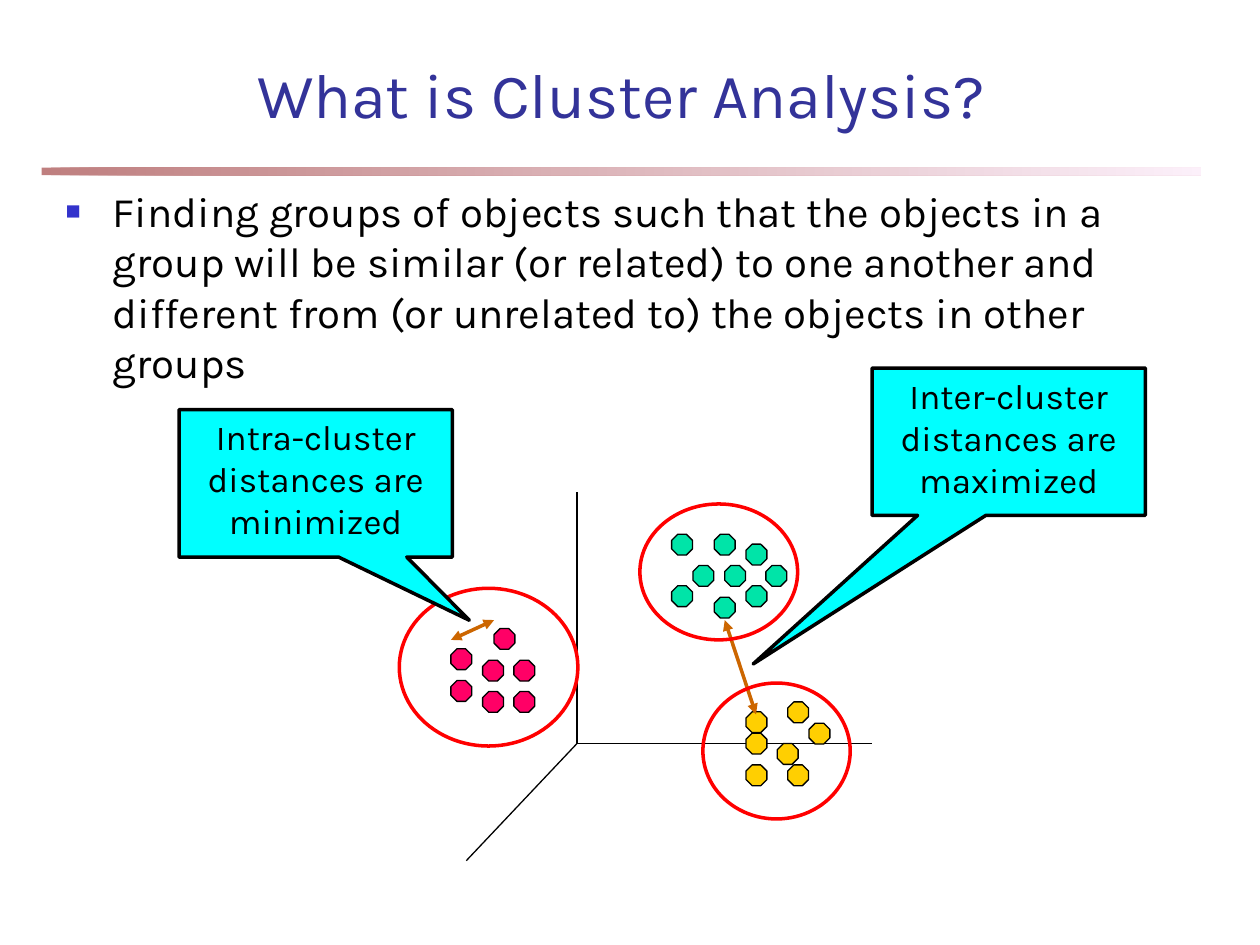
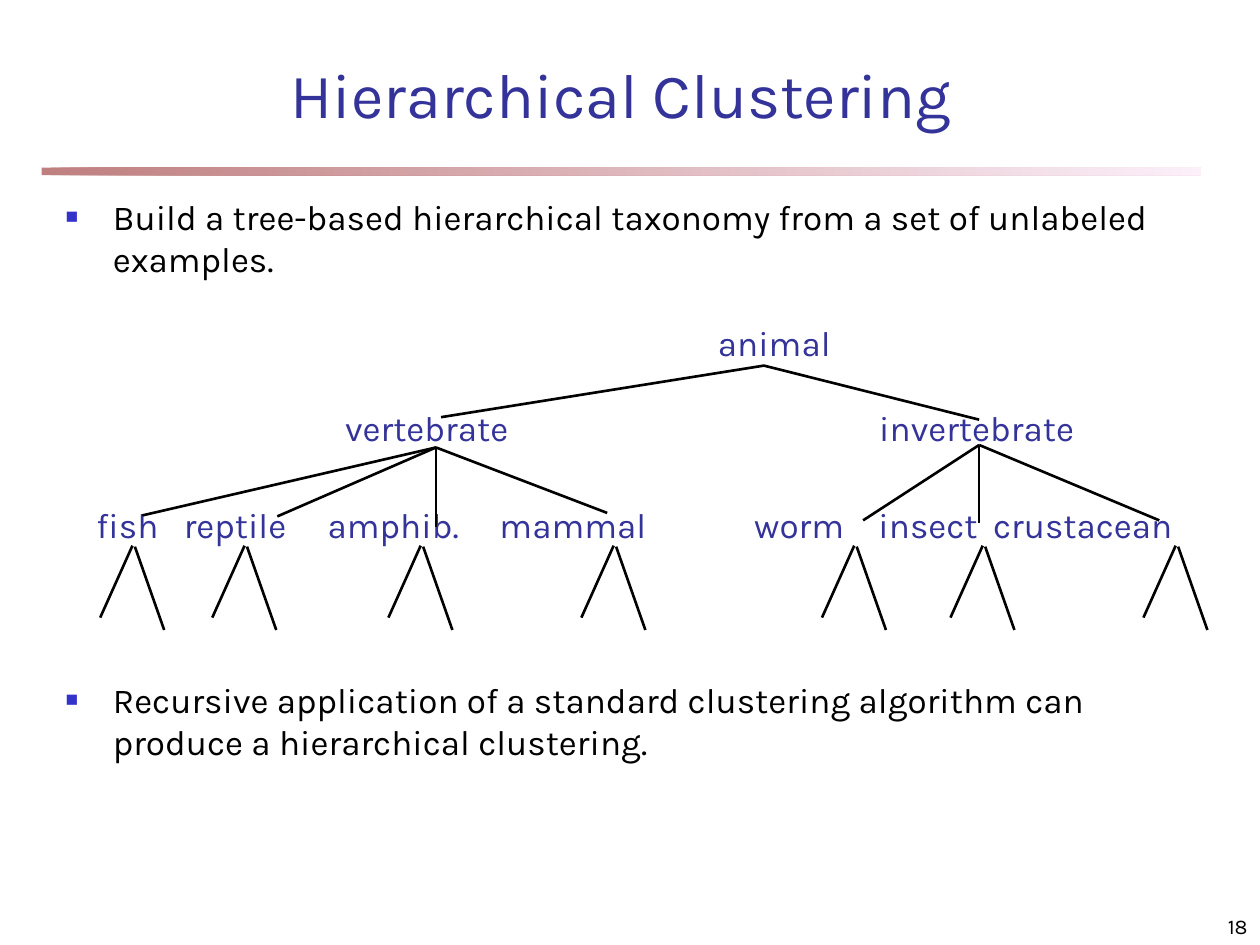
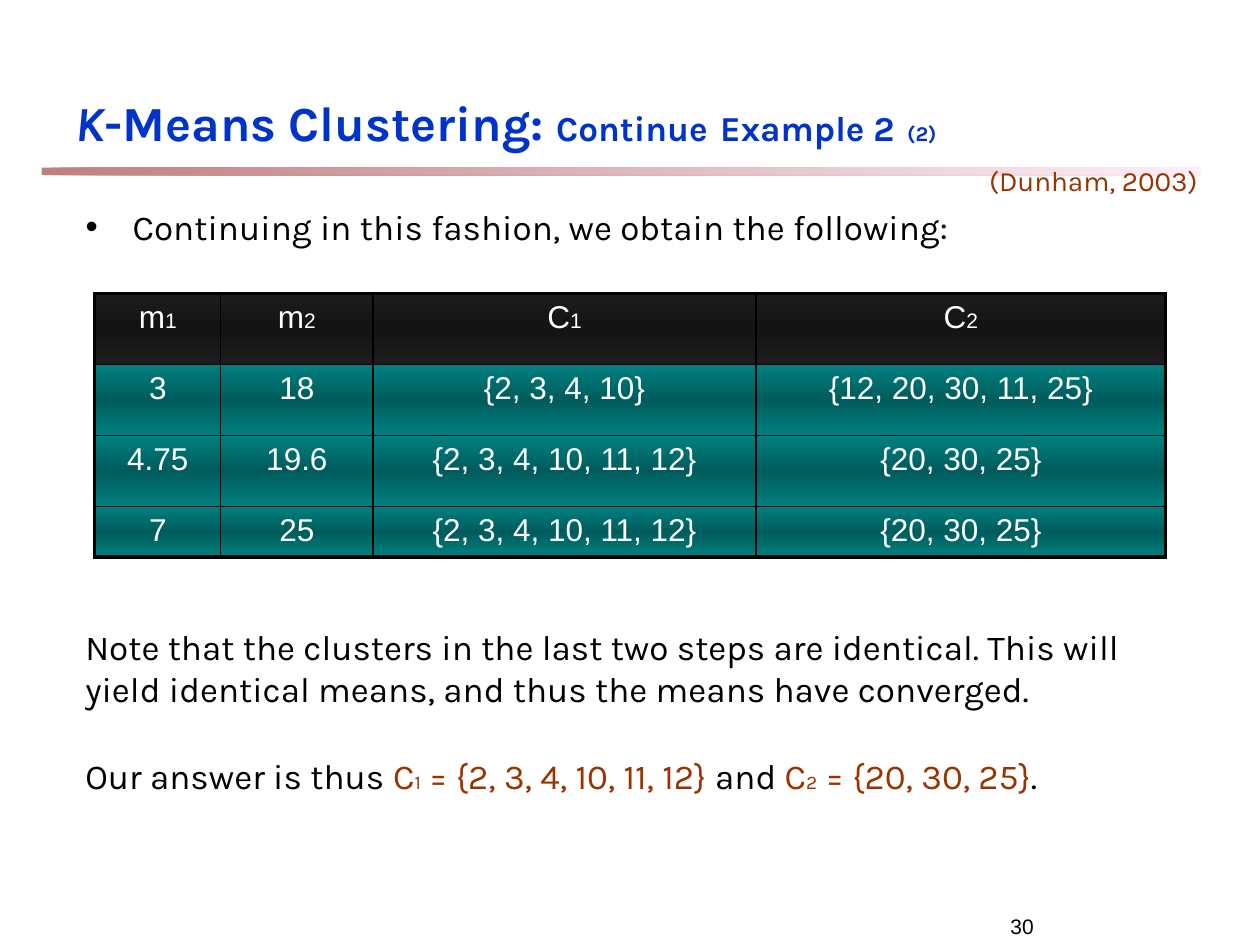
from dataclasses import dataclass
from typing import Any, NamedTuple, Optional

import pptx
import pptx.dml.color
import pptx.enum.dml
import pptx.enum.shapes
import pptx.enum.text
import pptx.oxml.ns
import pptx.util
from lxml import etree

Cm = pptx.util.Cm
Pt = pptx.util.Pt
qn = pptx.oxml.ns.qn
Align = pptx.enum.text.PP_ALIGN
Anchor = pptx.enum.text.MSO_ANCHOR
Kind = pptx.enum.shapes.MSO_SHAPE

HUES = {
    "title": "333399", "blue": "0033CC", "mark": "3333CC", "text": "000000",
    "rust": "993300", "arrow": "CC6600", "ring": "FF0000", "call": "00FFFF",
    "green": "00E4A8", "pink": "FF0066", "gold": "FFCF01", "white": "FFFFFF",
    "wine": "800000", "blush": "FAE2F6", "coal": "1C1C1C", "black": "141414",
    "teal": "008080", "deep": "005C5C",
}
FACE = "Karla"
DOT = 0.42


class Box(NamedTuple):
    """Left, top, width and height in centimetres."""
    x: float
    y: float
    w: float
    h: float

    def place(self) -> tuple:
        return tuple(Cm(v) for v in self)


class Bit(NamedTuple):
    """A run with what sets it apart from its paragraph."""
    text: str
    size: Optional[float] = None
    hue: Optional[str] = None
    slant: Optional[bool] = None


@dataclass
class Group:
    hue: str
    ring: Box
    dots: list


@dataclass
class Call:
    text: str
    box: Box
    tip: tuple
    start: tuple
    end: tuple


@dataclass
class Leaf:
    text: str
    mid: float
    wide: float
    fork: float


GROUPS = [
    Group("green", Box(12.9, 10.16, 3.18, 2.74), [
        (13.97, 11.4), (14.61, 11.4), (14.4, 10.77), (14.4, 12.04), (15.44, 11.4),
        (15.04, 10.97), (13.54, 10.77), (15.04, 11.81), (13.54, 11.81)]),
    Group("pink", Box(8.05, 11.86, 3.6, 3.18), [
        (9.09, 13.08), (9.73, 13.31), (9.73, 13.94), (10.36, 13.31),
        (9.96, 12.67), (10.36, 13.94), (9.09, 13.72)]),
    Group("gold", Box(14.17, 13.77, 2.97, 2.74), [
        (15.04, 14.35), (16.31, 14.58), (15.67, 14.99), (15.04, 15.42),
        (15.88, 15.42), (15.04, 14.78), (15.88, 14.15)]),
]
INTER = Call("Inter-cluster distances are maximized", Box(17.58, 7.42, 5.51, 2.97),
             (-0.935, 1.509), (15.24, 14.4), (14.61, 12.5))
INTRA = Call("Intra-cluster distances are minimized", Box(3.61, 8.26, 5.51, 2.97),
             (0.562, 0.929), (9.09, 12.9), (9.96, 12.5))
AXES = [(11.63, 9.91), (17.58, 14.99), (9.4, 17.35)]

NODES = {
    "animal": Box(12.7, 6.35, 5.82, 1.12),
    "vertebrate": Box(6.55, 8.07, 4.11, 1.12),
    "invertebrate": Box(17.34, 8.07, 4.7, 1.12),
}
LEAVES = [
    Leaf("fish", 2.57, 2, 2.67), Leaf("reptile", 4.74, 2.9, 4.93),
    Leaf("amphib.", 7.93, 3.5, 8.48), Leaf("mammal", 11.55, 3.8, 12.37),
    Leaf("worm", 16.11, 2.7, 17.22), Leaf("insect", 18.71, 2.8, 19.81),
    Leaf("crustacean", 21.83, 4.5, 23.7),
]
BRANCHES = {
    (15.4, 7.37): [(8.89, 8.41), (19.74, 8.46)],
    (8.79, 9.02): [(2.87, 10.39), (5.59, 10.41), (8.79, 10.62), (12.24, 10.34)],
    (19.74, 8.97): [(17.4, 10.49), (19.74, 10.54), (23.37, 10.49)],
}

COLS = [2.54, 3.07, 7.72, 8.26]
ROWS = [1.43, 1.43, 1.43, 0.99]
HEADS = [("m", "1"), ("m", "2"), ("C", "1"), ("C", "2")]
STEPS = [
    ("3", "18", "{2, 3, 4, 10}", "{12, 20, 30, 11, 25}"),
    ("4.75", "19.6", "{2, 3, 4, 10, 11, 12}", "{20, 30, 25}"),
    ("7", "25", "{2, 3, 4, 10, 11, 12}", "{20, 30, 25}"),
]


def rgb(hue: str) -> pptx.dml.color.RGBColor:
    return pptx.dml.color.RGBColor.from_string(HUES[hue])


def write(para: Any, bits: list, size: float, hue: str = "text",
          align: Any = Align.LEFT, face: str = FACE, bold: bool = False) -> None:
    """Fill a paragraph: its font holds for all runs but what a Bit changes."""
    para.alignment = align
    font = para.font
    font.name, font.size, font.bold = face, Pt(size), bold
    font.color.rgb = rgb(hue)
    for bit in bits:
        run = para.add_run()
        run.text = bit.text
        if bit.size:
            run.font.size = Pt(bit.size)
        if bit.hue:
            run.font.color.rgb = rgb(bit.hue)
        if bit.slant:
            run.font.italic = True


def bullet(para: Any, sign: str, hue: str, scale: int) -> None:
    """Hang the paragraph behind a bullet sign."""
    props = para._p.get_or_add_pPr()
    props.set("marL", str(Cm(0.95)))
    props.set("indent", str(-Cm(0.95)))
    parts = [etree.Element(qn(tag), attrs) for tag, attrs in (
        ("a:buClr", {}), ("a:buSzPct", {"val": str(scale * 1000)}),
        ("a:buFont", {"typeface": "Arial"}), ("a:buChar", {"char": sign}))]
    etree.SubElement(parts[0], qn("a:srgbClr"), val=HUES[hue])
    spot = props.find(qn("a:defRPr"))
    for part in parts:
        spot.addprevious(part)


def fade(fill: Any, root: Any, hues: list, angle: int, alpha: int = 100) -> None:
    """Give an evenly stepped gradient to the fill found under root."""
    fill.gradient()
    fill.gradient_angle = angle
    stops = next(root.iter(qn("a:gsLst")))
    for old in list(stops):
        stops.remove(old)
    for i, hue in enumerate(hues):
        stop = etree.SubElement(stops, qn("a:gs"), pos=str(100000 * i // (len(hues) - 1)))
        tint = etree.SubElement(stop, qn("a:srgbClr"), val=HUES[hue])
        if alpha < 100:
            etree.SubElement(tint, qn("a:alpha"), val=str(alpha * 1000))


def shape(slide: Any, kind: Any, box: Box, fill: Optional[str],
          line: str = "text", width: float = 0.75) -> Any:
    item = slide.shapes.add_shape(kind, *box.place())
    item.shadow.inherit = False
    if fill:
        item.fill.solid()
        item.fill.fore_color.rgb = rgb(fill)
    else:
        item.fill.background()
    item.line.color.rgb = rgb(line)
    item.line.width = Pt(width)
    return item


def line(slide: Any, start: tuple, end: tuple, width: float,
         hue: str = "text", heads: bool = False) -> None:
    item = slide.shapes.add_connector(pptx.enum.shapes.MSO_CONNECTOR.STRAIGHT,
                                      *(Cm(v) for v in (*start, *end)))
    item.line.color.rgb = rgb(hue)
    item.line.width = Pt(width)
    if heads:
        for tag in ("a:headEnd", "a:tailEnd"):
            etree.SubElement(item.line._get_or_add_ln(), qn(tag), type="triangle")
    etree.SubElement(item.element.spPr, qn("a:effectLst"))


def label(slide: Any, box: Box, bits: list, size: float, hue: str = "text",
          align: Any = Align.LEFT, anchor: Any = Anchor.TOP,
          wrap: bool = True, face: str = FACE, inset: float = 0.25) -> Any:
    frame = slide.shapes.add_textbox(*box.place()).text_frame
    frame.word_wrap = wrap
    frame.vertical_anchor = anchor
    frame.margin_left = frame.margin_right = Cm(inset)
    write(frame.paragraphs[0], bits, size, hue, align, face)
    return frame


def hold(item: Any, box: Box, anchor: Any) -> Any:
    """Move a placeholder and return its text frame."""
    item.left, item.top, item.width, item.height = box.place()
    frame = item.text_frame
    frame.auto_size = pptx.enum.text.MSO_AUTO_SIZE.NONE
    frame.vertical_anchor = anchor
    return frame


def head(slide: Any, text: str) -> None:
    frame = hold(slide.shapes.title, Box(1.7, 1.07, 21.64, 1.7), Anchor.BOTTOM)
    write(frame.paragraphs[0], [Bit(text)], 36, "title", Align.CENTER)


def points(slide: Any, box: Box, texts: list, size: float, gap: float = 0,
           sign: str = "■", hue: str = "mark", scale: int = 60) -> None:
    """Fill the body placeholder with bullets set gap points apart."""
    frame = hold(slide.placeholders[1], box, Anchor.TOP)
    for i, text in enumerate(texts):
        para = frame.add_paragraph() if i else frame.paragraphs[0]
        write(para, [Bit(text)], size)
        bullet(para, sign, hue, scale)
        if i:
            para.space_before = Pt(gap)


def band(deck: Any, slide: Any) -> None:
    """Put the fading rule on the master, behind its placeholders."""
    item = shape(slide, Kind.RECTANGLE, Box(0.84, 3.38, 23.37, 0.15), None)
    item.line.fill.background()
    fade(item.fill, item.element, ["wine", "blush"], 0, 50)
    item.element.nvSpPr.cNvPr.id = 20
    deck.slide_master.shapes.element.insert(2, item.element)


def callout(slide: Any, call: Call) -> None:
    line(slide, call.start, call.end, 2, "arrow", True)
    item = shape(slide, Kind.RECTANGULAR_CALLOUT, call.box, "call", width=2)
    item.adjustments[0], item.adjustments[1] = call.tip
    frame = item.text_frame
    frame.word_wrap = True
    frame.vertical_anchor = Anchor.TOP
    write(frame.paragraphs[0], [Bit(call.text)], 20, align=Align.CENTER)


def clusters(slide: Any) -> None:
    head(slide, "What is Cluster Analysis?")
    points(slide, Box(1.07, 3.61, 23.11, 3.61), [
        "Finding groups of objects such that the objects in a group will be similar "
        "(or related) to one another and different from (or unrelated to) the objects "
        "in other groups"], 24)
    for end in AXES:
        line(slide, (11.63, 14.99), end, 0.75)
    for group in GROUPS:
        for x, y in group.dots:
            shape(slide, Kind.OCTAGON, Box(x, y, DOT, DOT), group.hue)
    callout(slide, INTER)
    for group in GROUPS:
        shape(slide, Kind.OVAL, group.ring, None, "ring", 2)
    callout(slide, INTRA)


def tree(slide: Any) -> None:
    label(slide, Box(17.35, 17.98, 8.05, 1.07), [Bit("18")], 12,
          align=Align.RIGHT, anchor=Anchor.BOTTOM)
    head(slide, "Hierarchical Clustering")
    points(slide, Box(1.07, 3.81, 23.29, 14.17), [
        "Build a tree-based hierarchical taxonomy from a set of unlabeled examples.",
        "Recursive application of a standard clustering algorithm can produce a "
        "hierarchical clustering."], 20, 228)
    nodes = dict(NODES)
    for leaf in LEAVES:
        nodes[leaf.text] = Box(leaf.mid - leaf.wide / 2, 10.03, leaf.wide, 1.12)
    for text, box in nodes.items():
        label(slide, box, [Bit(text)], 20, "title", Align.CENTER, wrap=False, inset=0)
    for hub, ends in BRANCHES.items():
        for end in ends:
            line(slide, hub, end, 1.5)
    for leaf in LEAVES:
        x = leaf.fork
        line(slide, (x, 11), (x - 0.65, 12.45), 1.5)
        line(slide, (x + 0.05, 11.02), (x + 0.64, 12.7), 1.5)


def edge(cell: Any, sides: dict) -> None:
    """Draw the cell's borders, given in points by side."""
    props = cell._tc.get_or_add_tcPr()
    for side, width in sides.items():
        rule = etree.SubElement(props, qn("a:ln" + side), w=str(Pt(width)))
        fill = etree.SubElement(rule, qn("a:solidFill"))
        etree.SubElement(fill, qn("a:srgbClr"), val=HUES["text"])


def steps(slide: Any) -> None:
    rows = [[[Bit(name), Bit(sub, 12)] for name, sub in HEADS]]
    rows += [[[Bit(text)] for text in step] for step in STEPS]
    box = Box(1.91, 5.92, sum(COLS), sum(ROWS))
    table = slide.shapes.add_table(len(ROWS), len(COLS), *box.place()).table
    table.first_row = table.horz_banding = False
    for col, wide in zip(table.columns, COLS):
        col.width = Cm(wide)
    for r, (row, high) in enumerate(zip(rows, ROWS)):
        table.rows[r].height = Cm(high)
        for c, bits in enumerate(row):
            cell = table.cell(r, c)
            write(cell.text_frame.paragraphs[0], bits, 18, "white", Align.CENTER, "Arial")
            outer = {"L": c == 0, "R": c == len(COLS) - 1,
                     "T": r == 0, "B": r == len(ROWS) - 1}
            edge(cell, {side: 2.25 if out else 1 for side, out in outer.items()})
            hues = ["teal", "deep", "teal"] if r else ["coal", "black", "coal"]
            fade(cell.fill, cell._tc, hues, 90)


def means(slide: Any) -> None:
    label(slide, Box(20.12, 17.98, 5.28, 1.07), [Bit("30")], 12,
          anchor=Anchor.BOTTOM, face="Arial")
    frame = hold(slide.shapes.title, Box(1.27, 1.07, 23.5, 2.11), Anchor.BOTTOM)
    write(frame.paragraphs[0], [
        Bit("K", slant=True), Bit("-Means Clustering: "), Bit("Continue", 20), Bit(" "),
        Bit("Example 2", 20), Bit(" "), Bit("(2)", 12)], 28, "blue", bold=True)
    points(slide, Box(1.47, 4.01, 22.43, 1.09),
           ["Continuing in this fashion, we obtain the following:"], 20,
           sign="•", hue="text", scale=100)
    label(slide, Box(19.69, 3.18, 4.88, 0.94), [Bit("(Dunham, 2003)")], 16, "rust")
    steps(slide)
    frame = label(slide, Box(1.47, 12.48, 22.86, 3.84), [Bit(
        "Note that the clusters in the last two steps are identical. This will yield "
        "identical means, and thus the means have converged.")], 20)
    para = frame.add_paragraph()
    para.space_before = Pt(26)
    write(para, [
        Bit("Our answer is thus "), Bit("C", hue="rust"), Bit("1", 11, "rust"),
        Bit(" = {2, 3, 4, 10, 11, 12}", hue="rust"), Bit(" and "),
        Bit("C", hue="rust"), Bit("2", 11, "rust"),
        Bit(" = {20, 30, 25}", hue="rust"), Bit(".")], 20)


def main() -> None:
    deck = pptx.Presentation()
    deck.slide_width, deck.slide_height = Cm(25.4), Cm(19.05)
    layout = deck.slide_layouts.get_by_name("Title and Content")
    for i, draw in enumerate((clusters, tree, means)):
        slide = deck.slides.add_slide(layout)
        if i == 0:
            band(deck, slide)
        draw(slide)
    deck.save("out.pptx")


if __name__ == "__main__":
    main()
